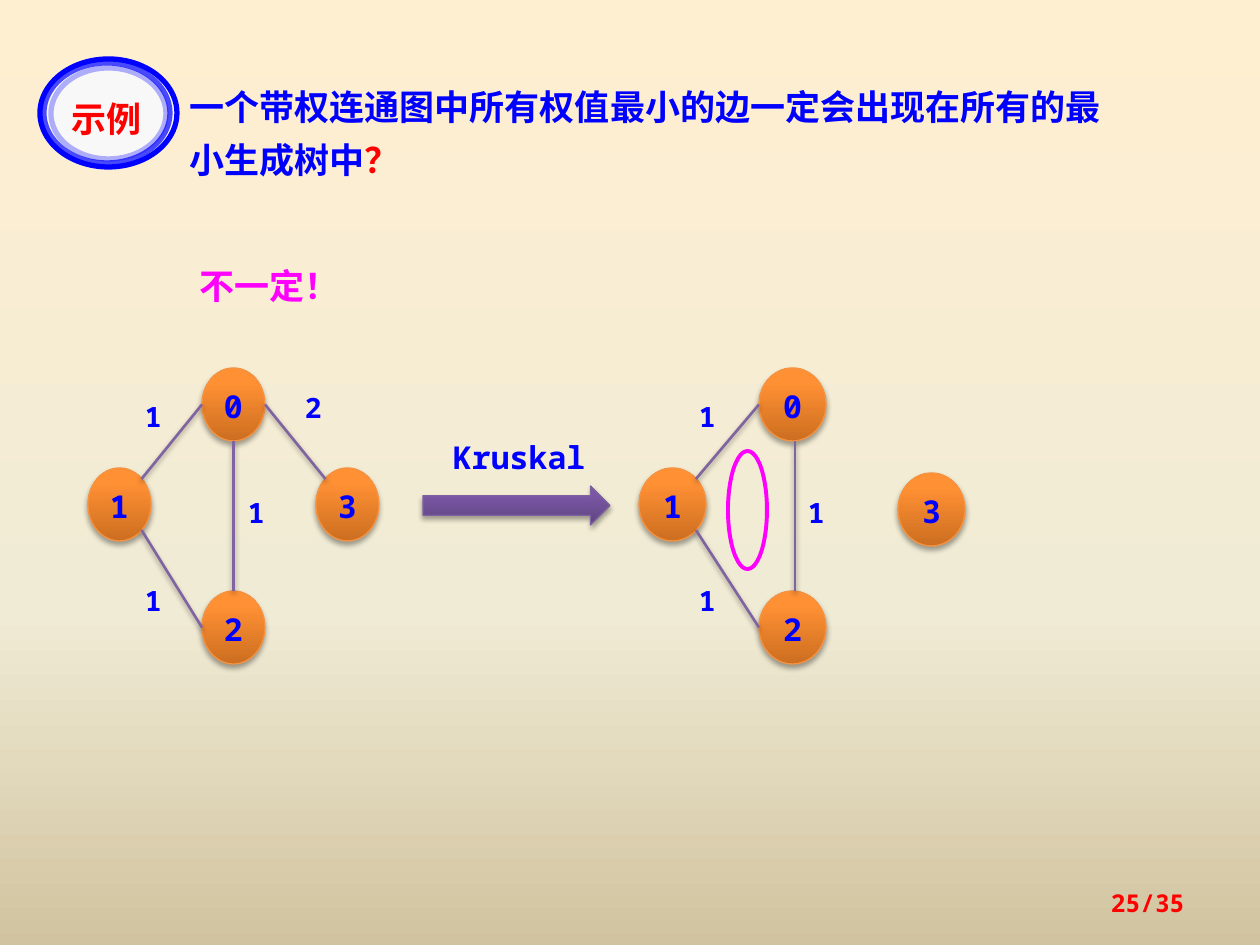
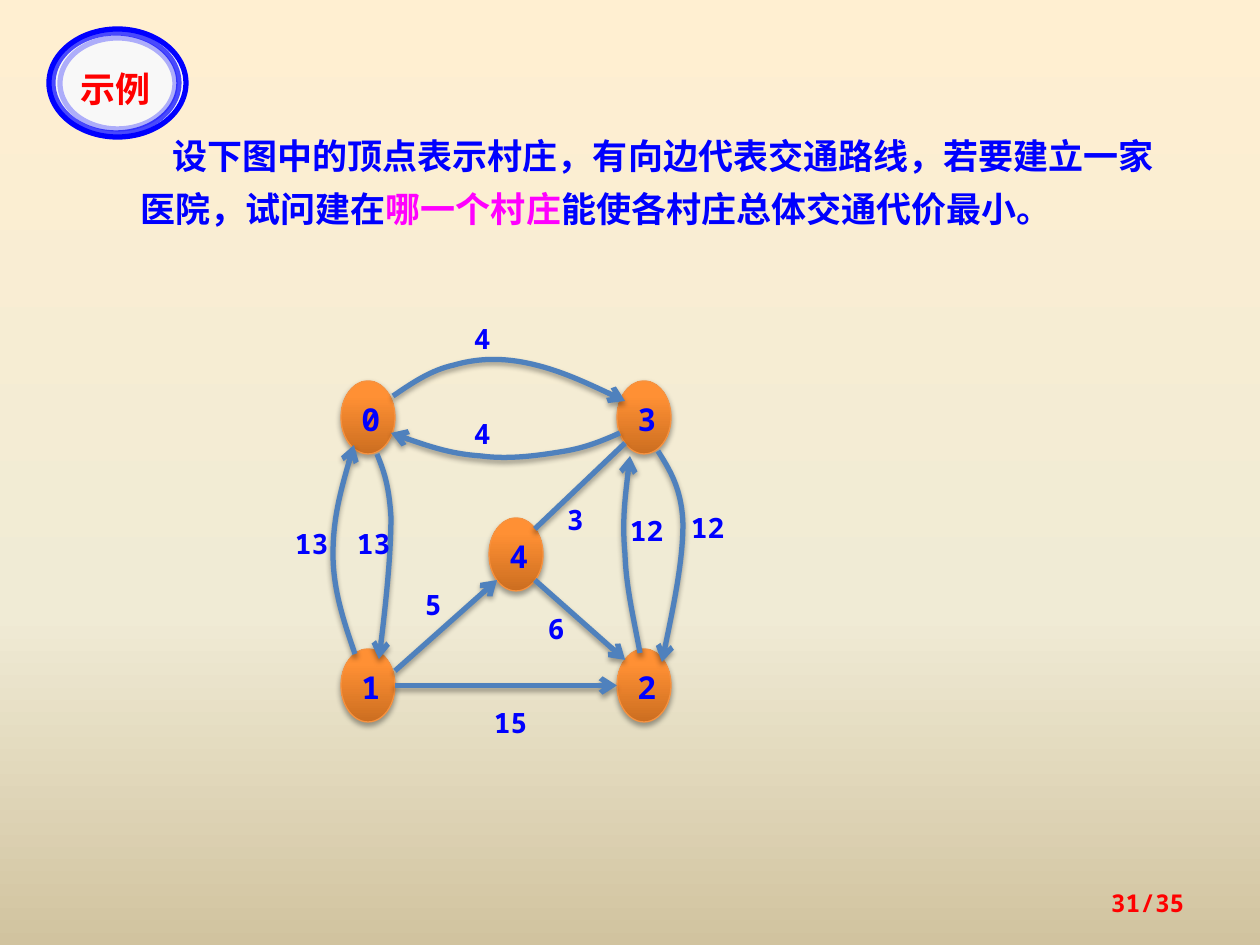
from lxml import etree
from pptx import Presentation
from pptx.dml.color import RGBColor
from pptx.enum.shapes import MSO_CONNECTOR, MSO_SHAPE
from pptx.enum.text import MSO_ANCHOR, PP_ALIGN
from pptx.oxml.ns import qn
from pptx.util import Pt

PX = 914400 / 126
OVAL, BLOCK_ARROW = MSO_SHAPE.OVAL, MSO_SHAPE.RIGHT_ARROW
STRAIGHT = MSO_CONNECTOR.STRAIGHT
CENTER, RIGHT = PP_ALIGN.CENTER, PP_ALIGN.RIGHT
MIDDLE, TOP = MSO_ANCHOR.MIDDLE, MSO_ANCHOR.TOP

BLUE, RED, MAGENTA = "0000FF", "FF0000", "FF00FF"
TREE_LINE, ROAD_LINE = "8064A2", "4F81BD"
NODE_LINE, ARROW_LINE = "F69240", "7D60A0"
BACKGROUND = [(0, "FFEFD1"), (65, "F0EBD5"), (100, "D1C39F")]
NODE_FILL = [(0, "CC6E20"), (80, "FF9034"), (100, "FF9136")]
ARROW_FILL = [(0, "5F4480"), (80, "7B58A6"), (100, "7C57A8")]
MONO, CJK, CJK_JP = "Noto Sans Mono", "Noto Sans CJK SC", "Noto Sans CJK JP"
PAGE_TOTAL = 35
NODE_HEIGHT = 73

# Points on a node's outline, as fractions of its width and height
SITES = {
    "top": (0.5, 0), "bottom": (0.5, 1), "left": (0, 0.5), "right": (1, 0.5),
    "top left": (0.15, 0.15), "top right": (0.85, 0.15),
    "bottom left": (0.15, 0.85), "bottom right": (0.85, 0.85),
    "upper right": (1, 0.3), "near top": (0.54, 0), "near bottom": (0.54, 1),
}


def emu(*lengths):
    return [round(length * PX) for length in lengths]


def color(value):
    return RGBColor.from_string(value)


def add_child(parent, tag, **attributes):
    child = etree.SubElement(parent, qn(tag))
    for name, value in attributes.items():
        child.set(name, str(value))
    return child


def paint_gradient(fill, owner, stops, angle):
    """Give the fill of the owner element any number of stops."""
    fill.gradient()
    fill.gradient_angle = angle
    stop_list = next(owner.iter(qn("a:gsLst")))
    for old_stop in list(stop_list):
        stop_list.remove(old_stop)
    for percent, value in stops:
        stop = add_child(stop_list, "a:gs", pos=percent * 1000)
        add_child(stop, "a:srgbClr", val=value)


def set_line(shape, value, width, opacity=100, arrowhead=False):
    shape.line.color.rgb = color(value)
    shape.line.width = Pt(width)
    outline = shape.element.spPr.find(qn("a:ln"))
    if opacity < 100:
        add_child(next(outline.iter(qn("a:srgbClr"))), "a:alpha", val=opacity * 1000)
    if arrowhead:
        add_child(outline, "a:tailEnd", type="arrow")


def set_shadow(shape, visible=True):
    effects = add_child(shape.element.spPr, "a:effectLst")
    if visible:
        shadow = add_child(effects, "a:outerShdw", blurRad=Pt(3.1), dist=Pt(1.8),
                           dir=5400000, rotWithShape=0)
        add_child(add_child(shadow, "a:srgbClr", val="000000"), "a:alpha", val=35000)


def write(shape, spans, size, font=MONO, east_asian=CJK, spacing=None,
          align=None, anchor=TOP, margin=None, indent=0):
    """Fill a shape with one paragraph of (text, colour) spans."""
    frame = shape.text_frame
    frame.word_wrap = True
    frame.vertical_anchor = anchor
    if margin is not None:
        for side in ("left", "top", "right", "bottom"):
            setattr(frame, f"margin_{side}", margin)
    para = frame.paragraphs[0]
    if indent:
        para._p.get_or_add_pPr().set("indent", str(emu(indent)[0]))
    for name, value in {"alignment": align, "line_spacing": spacing}.items():
        if value is not None:
            setattr(para, name, value)
    for text, value in spans:
        span = para.add_run()
        span.text = text
        for name, setting in {"name": font, "size": Pt(size), "bold": True}.items():
            setattr(span.font, name, setting)
        span.font.color.rgb = color(value)
        add_child(span.font._element, "a:ea", typeface=east_asian)


def add_text(page, place, spans, size, **layout):
    box = page.shapes.add_textbox(*emu(*place))
    write(box, spans, size, **layout)


def add_gradient_shape(page, kind, place, stops, line):
    shape = page.shapes.add_shape(kind, *emu(*place))
    paint_gradient(shape.fill, shape.element.spPr, stops, 90)
    set_line(shape, line, 0.75)
    set_shadow(shape)
    return shape


def add_ring(page, place, value, width, opacity=100, fill=None):
    ring = page.shapes.add_shape(OVAL, *emu(*place))
    if fill:
        ring.fill.solid()
        ring.fill.fore_color.rgb = color(fill)
    else:
        ring.fill.background()
    set_line(ring, value, width, opacity)
    set_shadow(ring, visible=False)


def add_nodes(page, positions, width):
    for name, (left, top) in positions.items():
        node = add_gradient_shape(page, OVAL, (left, top, width, NODE_HEIGHT),
                                  NODE_FILL, NODE_LINE)
        write(node, [(name, BLUE)], 18, spacing=1.1, align=CENTER, anchor=MIDDLE)


def add_edges(page, positions, node_width, edges, value, line_width):
    """Join nodes; an edge is (start, site, end, site, has arrowhead)."""
    def point(name, site):
        left, top = positions[name]
        across, down = SITES[site]
        return emu(left + across * node_width, top + down * NODE_HEIGHT)

    for start, start_site, end, end_site, arrowhead in edges:
        edge = page.shapes.add_connector(
            STRAIGHT, *point(start, start_site), *point(end, end_site))
        set_line(edge, value, line_width, arrowhead=arrowhead)
        set_shadow(edge)


def add_curved_arrow(page, points):
    """Draw cubic curves through a start point and triples of points."""
    builder = page.shapes.build_freeform(*emu(*points[0]), scale=1.0)
    builder.add_line_segments([emu(*point) for point in points[1:]], close=False)
    arrow = builder.convert_to_shape()
    segments = list(arrow.element.iter(qn("a:lnTo")))
    outline = segments[0].getparent()
    for first in range(0, len(segments), 3):
        curve = add_child(outline, "a:cubicBezTo")
        for segment in segments[first:first + 3]:
            curve.append(segment[0])
            outline.remove(segment)
    arrow.fill.background()
    set_line(arrow, ROAD_LINE, 3, arrowhead=True)
    set_shadow(arrow)


def add_weights(page, weights, width, height, spacing):
    for left, top, text in weights:
        add_text(page, (left, top, width, height), [(text, BLUE)], 16,
                 spacing=Pt(spacing), margin=0)


def add_badge(page, left, top):
    add_ring(page, (left, top, 137, 108), BLUE, 3, fill="F8F8F8")
    add_ring(page, (left + 4, top + 4, 126, 100), BLUE, 3, opacity=70)
    add_ring(page, (left + 11, top + 9, 115, 91), BLUE, 3, opacity=30)
    add_text(page, (left + 6, top + 28, 121, 49), [("示例", RED)], 20,
             font=CJK_JP, east_asian=CJK_JP, spacing=1.1, align=CENTER)


def add_page(deck, number):
    page = deck.slides.add_slide(deck.slide_layouts[6])
    paint_gradient(page.background.fill, page.element, BACKGROUND, 270)
    add_text(page, (903, 878, 294, 50), [(f"{number}/{PAGE_TOTAL}", RED)], 14,
             align=RIGHT, anchor=MIDDLE)
    return page


def build_spanning_tree_page(deck):
    page = add_page(deck, 25)
    add_text(page, (177, 69, 945, 113),
             [("一个带权连通图中所有权值最小的边一定会出现在所有的最小生成树中", BLUE),
              ("？", RED)], 20, spacing=Pt(30))
    add_text(page, (187, 248, 217, 58), [("不一定！", MAGENTA)], 20,
             font=CJK, spacing=Pt(30))

    sides = [("0", "left", "1", "top right", False),
             ("1", "bottom right", "2", "left", False)]
    graph = {"1": (88, 468), "2": (202, 591), "0": (202, 368), "3": (316, 468)}
    add_nodes(page, graph, 63)
    add_edges(page, graph, 63, sides + [
        ("0", "bottom", "2", "top", False),
        ("0", "right", "3", "top left", False),
    ], TREE_LINE, 1.5)
    result = {"1": (639, 468), "2": (759, 591), "0": (759, 368), "3": (898, 473)}
    add_nodes(page, result, 67)
    add_edges(page, result, 67, sides + [
        ("0", "near bottom", "2", "near top", False),
    ], TREE_LINE, 1.5)
    add_weights(page, [(145, 381, "1"), (145, 565, "1"), (248, 477, "1"),
                       (305, 372, "2"), (699, 381, "1"), (699, 565, "1"),
                       (808, 477, "1")], 24, 53, 30)

    add_gradient_shape(page, BLOCK_ARROW, (423, 486, 187, 39), ARROW_FILL, ARROW_LINE)
    add_text(page, (453, 423, 158, 48), [("Kruskal", BLUE)], 18,
             spacing=Pt(30), margin=0)
    add_ring(page, (728, 451, 39, 118), MAGENTA, 2.25)
    add_badge(page, 40, 59)


def build_village_page(deck):
    page = add_page(deck, 31)
    add_text(page, (128, 118, 1043, 118),
             [("设下图中的顶点表示村庄，有向边代表交通路线，若要建立一家医院，试问建在", BLUE),
              ("哪一个村庄", MAGENTA),
              ("能使各村庄总体交通代价最小。", BLUE)], 20, spacing=Pt(30), indent=32)

    villages = {"0": (341, 381), "3": (617, 381), "4": (489, 518),
                "1": (341, 649), "2": (617, 649)}
    add_nodes(page, villages, 54)
    curved_roads = [
        [(393, 396), (412, 383), (431, 370), (454, 365), (475, 359),
         (498, 357), (527, 363), (556, 369), (590, 384), (625, 401)],
        [(620, 433), (604, 440), (588, 447), (566, 451), (542, 455),
         (510, 460), (481, 456), (452, 454), (421, 444), (391, 433)],
        [(377, 454), (383, 469), (389, 483), (391, 517), (391, 551),
         (386, 605), (379, 659)],
        [(355, 654), (344, 622), (333, 590), (333, 554), (333, 519),
         (343, 481), (354, 445)],
        [(658, 451), (670, 470), (682, 489), (683, 524), (683, 559),
         (673, 610), (662, 662)],
        [(640, 653), (634, 620), (626, 587), (625, 554), (622, 522),
         (626, 489), (630, 456)],
    ]
    for road in curved_roads:
        add_curved_arrow(page, road)
    add_edges(page, villages, 54, [
        ("4", "top right", "3", "bottom left", False),
        ("1", "upper right", "4", "bottom left", True),
        ("1", "right", "2", "left", True),
        ("4", "bottom right", "2", "top left", True),
    ], ROAD_LINE, 3)
    add_weights(page, [(691, 509, "12"), (630, 512, "12"), (295, 525, "13"),
                       (357, 525, "13"), (474, 320, "4"), (474, 415, "4"),
                       (425, 586, "5"), (567, 501, "3"), (494, 704, "15"),
                       (548, 610, "6")], 39, 35, 20)
    add_badge(page, 49, 29)


def main():
    deck = Presentation()
    deck.slide_width, deck.slide_height = emu(1260, 945)
    build_spanning_tree_page(deck)
    build_village_page(deck)
    deck.save("out.pptx")


if __name__ == "__main__":
    main()
